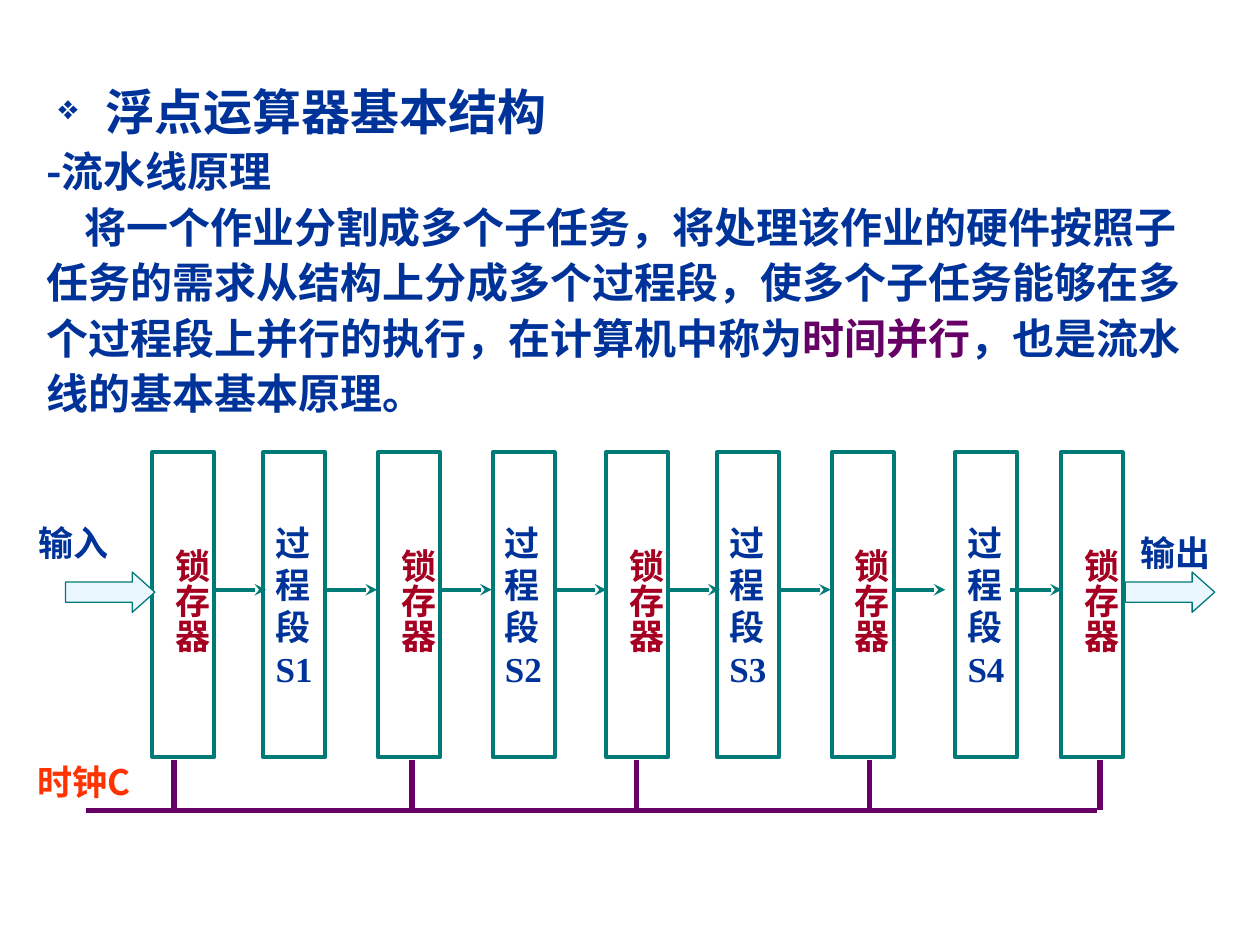
from lxml.etree import SubElement
from pptx import Presentation
from pptx.dml.color import RGBColor
from pptx.enum.shapes import MSO_CONNECTOR, MSO_SHAPE
from pptx.oxml.ns import qn
from pptx.util import Pt

COLORS = {"navy": "003399", "purple": "660066", "teal": "007A77",
          "crimson": "A50021", "orange": "FF3300", "pale": "EBF7FF"}
CJK_FONT = "Noto Sans CJK SC"

FORMATS = {
    "heading": {"size": Pt(28), "name": "Arial", "bold": True},
    "body": {"size": Pt(24), "name": CJK_FONT, "bold": True},
    "diagram": {"size": Pt(20), "name": "Times New Roman", "bold": True},
    "label": {"size": Pt(20), "name": CJK_FONT, "bold": True},
}
LEADING = {"heading": 37, "body": 31.7, "diagram": 24, "label": 24}

# Each paragraph is a list of (text, color) runs
HEADING = [("浮点运算器基本结构", "navy")]
SUBHEADING = [("-流水线原理", "navy")]
EXPLANATION = [
    ("将一个作业分割成多个子任务，将处理该作业的硬件按照子任务的需求从结构上"
     "分成多个过程段，使多个子任务能够在多个过程段上并行的执行，在计算机中称为", "navy"),
    ("时间并行", "purple"),
    ("，也是流水线的基本基本原理。", "navy"),
]
LATCH = "锁存器"
# (left, stage name or None for a latch)
PIPELINE = [(87.1, None), (150.5, "S1"), (216, None), (281.5, "S2"), (346.3, None),
            (409.7, "S3"), (475.2, None), (545.8, "S4"), (606.2, None)]
CLOCK_TAPS = [99.4, 235.4, 363.6, 496.8, 628.6]
# (text, color, left, top, width)
LABELS = [("输入", "navy", 15.1, 292.3, 62), ("输出", "navy", 644.4, 298.1, 62),
          ("时钟C", "orange", 14.4, 429.1, 79.2)]
PORT_ARROWS = [37.4, 643]

UNIT_TOP, UNIT_WIDTH, UNIT_HEIGHT = 258.5, 35.5, 174.2
FLOW_Y, FLOW_LENGTH = 337, 29.5
CLOCK_LEFT, CLOCK_RIGHT, CLOCK_Y, TAP_TOP = 49, 627, 463, 434.2

presentation = Presentation()
presentation.slide_width, presentation.slide_height = Pt(720), Pt(540)
slide = presentation.slides.add_slide(presentation.slide_layouts[6])


def rgb(color):
    return RGBColor.from_string(COLORS[color])


def add_text(box, paragraphs, insets):
    """Add a box of (style, runs) paragraphs; insets run left, top, right, bottom."""
    frame = slide.shapes.add_textbox(*map(Pt, box)).text_frame
    frame.word_wrap = True
    for side, inset in zip(("left", "top", "right", "bottom"), insets):
        setattr(frame, f"margin_{side}", Pt(inset))
    for index, (style, runs) in enumerate(paragraphs):
        paragraph = frame.add_paragraph() if index else frame.paragraphs[0]
        paragraph.line_spacing = Pt(LEADING[style])
        for text, color in runs:
            run = paragraph.add_run()
            run.text = text
            for attribute, value in FORMATS[style].items():
                setattr(run.font, attribute, value)
            run.font.color.rgb = rgb(color)
            SubElement(run._r.get_or_add_rPr(), qn("a:ea"), typeface=CJK_FONT)
    return frame


def indent(paragraph, first_line, left=0):
    properties = paragraph._p.get_or_add_pPr()
    properties.set("marL", str(Pt(left)))
    properties.set("indent", str(Pt(first_line)))
    return properties


def add_line(start, end, color, width, arrow=False):
    line = slide.shapes.add_connector(MSO_CONNECTOR.STRAIGHT, *map(Pt, start + end))
    line.line.color.rgb = rgb(color)
    line.line.width = Pt(width)
    if arrow:
        SubElement(line.line._get_or_add_ln(), qn("a:tailEnd"), type="stealth")
    SubElement(line._element.spPr, qn("a:effectLst"))


def add_outline(preset, box, width, fill=None):
    shape = slide.shapes.add_shape(preset, *map(Pt, box))
    shape.shadow.inherit = False
    if fill:
        shape.fill.solid()
        shape.fill.fore_color.rgb = rgb(fill)
    else:
        shape.fill.background()
    shape.line.color.rgb = rgb("teal")
    shape.line.width = Pt(width)
    return shape


intro = add_text((19.4, 37.4, 676.8, 204.5),
                 [("heading", HEADING), ("body", SUBHEADING), ("body", EXPLANATION)],
                 (7.2, 6, 7.2, 3.6))
bullet = indent(intro.paragraphs[0], -27, 34)
SubElement(SubElement(bullet, qn("a:buClr")), qn("a:srgbClr"), val=COLORS["navy"])
SubElement(bullet, qn("a:buSzPct"), val="70000")
SubElement(bullet, qn("a:buChar"), char="❖")
indent(intro.paragraphs[2], 22)

for left, stage in PIPELINE:
    add_outline(MSO_SHAPE.RECTANGLE, (left, UNIT_TOP, UNIT_WIDTH, UNIT_HEIGHT), 2.25)
    if stage:
        rows = [("diagram", [(row, "navy")]) for row in ("过", "程", "段", stage)]
        add_text((left, 292.3, UNIT_WIDTH, 103.7), rows, (7.2, 5.6, 0, 3.6))
    else:
        latch = add_text((left, 306.7, 38.2, 67.7),
                         [("diagram", [(LATCH, "crimson")])], (3.6, 3.6, 3.6, 0))
        latch._txBody.bodyPr.set("vert", "eaVert")

for left, stage in PIPELINE[:-1]:
    start = left + UNIT_WIDTH - (4 if stage == "S4" else 0)
    add_line((start, FLOW_Y), (start + FLOW_LENGTH, FLOW_Y), "teal", 2.25, arrow=True)

add_line((CLOCK_LEFT, CLOCK_Y), (CLOCK_RIGHT, CLOCK_Y), "purple", 3)
for tap in CLOCK_TAPS:
    add_line((tap, CLOCK_Y), (tap, TAP_TOP), "purple", 3)

for left in PORT_ARROWS:
    port = add_outline(MSO_SHAPE.RIGHT_ARROW, (left, 326.9, 51.1, 23), 0.75, "pale")
    port.adjustments[0], port.adjustments[1] = 0.5, 0.56

for text, color, left, top, width in LABELS:
    add_text((left, top, width, 31.7), [("label", [(text, color)])], (7.2, 5.6, 7.2, 3.6))

presentation.save("out.pptx")
